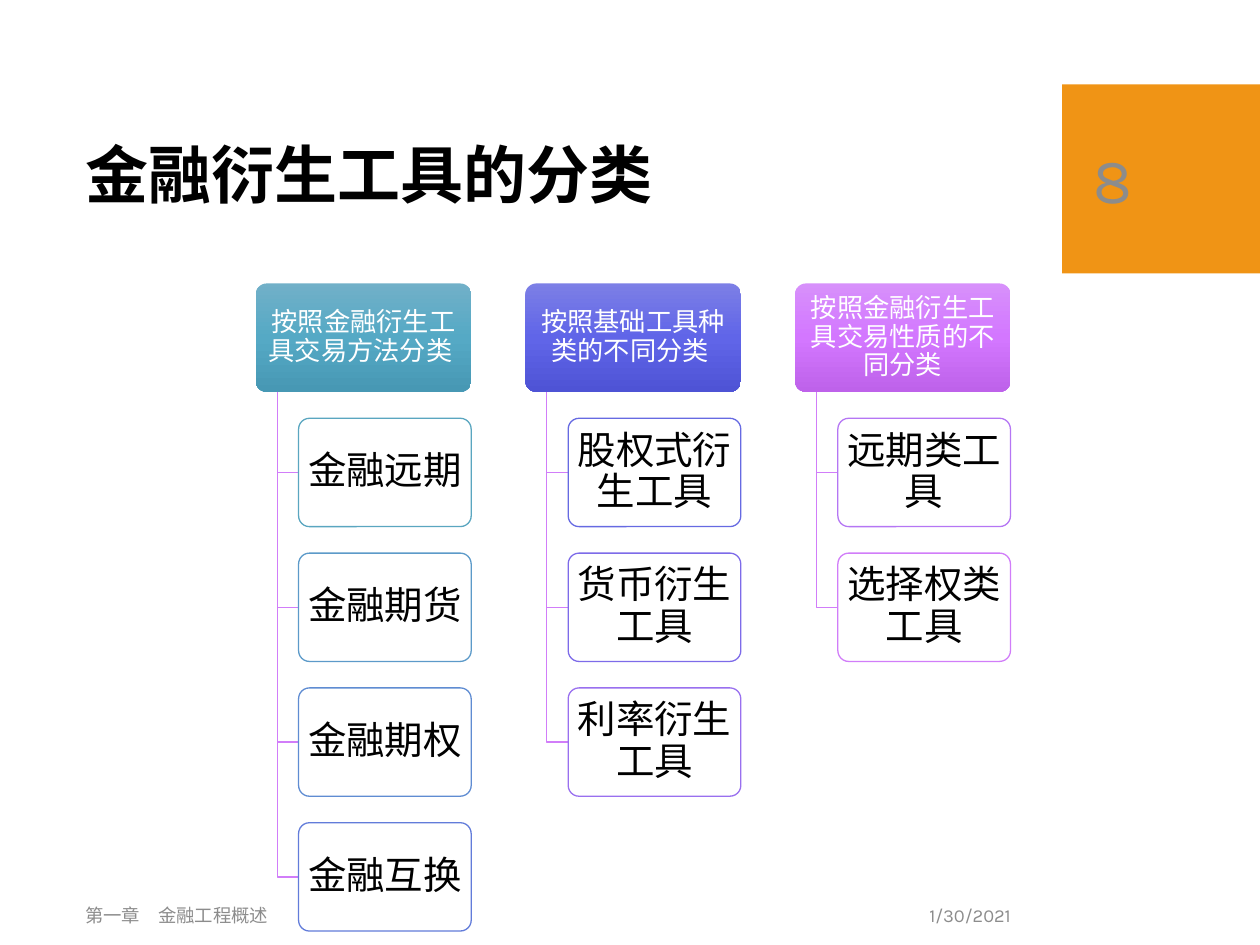
from copy import deepcopy

from lxml import etree
from pptx import Presentation
from pptx.dml.color import RGBColor
from pptx.enum.shapes import MSO_SHAPE
from pptx.enum.text import MSO_ANCHOR, PP_ALIGN
from pptx.oxml.ns import qn
from pptx.util import Inches, Pt

ROUNDED, RECTANGLE = MSO_SHAPE.ROUNDED_RECTANGLE, MSO_SHAPE.RECTANGLE
MIDDLE = MSO_ANCHOR.MIDDLE
LEFT, CENTER, RIGHT = PP_ALIGN.LEFT, PP_ALIGN.CENTER, PP_ALIGN.RIGHT

FONT = "Karla"
GREY = "8C8C8C"
BRANCH_COLOR = "D17DF9"

# Heading, gradient from top to bottom, then each item with its outline
CATEGORIES = [
    ("按照金融衍生工具交易方法分类 ", ("71B0C8", "55A9C5", "4798B4"),
     [("金融远期", "5AA6C0"), ("金融期货", "5C9AC9"),
      ("金融期权", "5F8CD2"), ("金融互换", "627CDA")]),
    ("按照基础工具种类的不同分类 ", ("7C7FE6", "6065E8", "4E53D5"),
     [("股权式衍生工具", "666AE2"), ("货币衍生工具", "7D6BE9"),
      ("利率衍生工具", "9970EF")]),
    ("按照金融衍生工具交易性质的不同分类", ("D790FB", "D377FF", "BE62EA"),
     [("远期类工具", "B576F4"), ("选择权类工具", BRANCH_COLOR)]),
]

TREE_LEFT, TREE_TOP = 2.03, 2.25
COLUMN_PITCH, ROW_PITCH = 2.14, 1.07
HEADING_WIDTH, ITEM_WIDTH, BOX_HEIGHT = 1.71, 1.37, 0.86
BRANCH_INDENT, ITEM_INDENT = 0.17, 0.34


def rgb(color):
    return RGBColor.from_string(color)


def write(shape, text, size, color, align, margins=(0.1, 0.05), spacing=None):
    """Set one vertically centred paragraph; margins are (sides, top and bottom)."""
    frame = shape.text_frame
    frame.text = text
    frame.word_wrap = True
    frame.vertical_anchor = MIDDLE
    frame.margin_left = frame.margin_right = Inches(margins[0])
    frame.margin_top = frame.margin_bottom = Inches(margins[1])
    paragraph = frame.paragraphs[0]
    paragraph.alignment = align
    paragraph.line_spacing = spacing
    font = paragraph.runs[0].font
    font.name, font.size, font.color.rgb = FONT, Pt(size), rgb(color)
    return font


prs = Presentation()
prs.slide_width, prs.slide_height = Inches(10), Inches(7.5)
shapes = prs.slides.add_slide(prs.slide_layouts[6]).shapes

number_block = shapes.add_shape(
    RECTANGLE, Inches(8.43), Inches(0.67), Inches(1.57), Inches(1.5))
number_block.shadow.inherit = False
number_block.fill.solid()
number_block.fill.fore_color.rgb = rgb("F09415")
number_block.line.fill.background()

title = shapes.add_textbox(Inches(0.58), Inches(0.82), Inches(7.54), Inches(1.18))
write(title, "金融衍生工具的分类", 36, "000000", LEFT, spacing=0.9).bold = True

for column, (heading_text, gradient, items) in enumerate(CATEGORIES):
    left = TREE_LEFT + column * COLUMN_PITCH
    heading = shapes.add_shape(ROUNDED, Inches(left), Inches(TREE_TOP),
                               Inches(HEADING_WIDTH), Inches(BOX_HEIGHT))
    heading.adjustments[0] = 0.1
    heading.shadow.inherit = False
    heading.line.fill.background()
    heading.fill.gradient()
    heading.fill.gradient_angle = 270
    stop_list = heading.fill._xPr.find(".//" + qn("a:gsLst"))
    stop_list.append(deepcopy(stop_list[0]))
    for stop, position, color in zip(heading.fill.gradient_stops, (0, 0.5, 1), gradient):
        stop.position = position
        stop.color.rgb = rgb(color)
    write(heading, heading_text, 15, "FFFFFF", CENTER, (0.03, 0.02), 0.9)

    trunk_x = left + BRANCH_INDENT
    item_left = left + ITEM_INDENT
    for row, (item_text, outline) in enumerate(items, start=1):
        item_top = TREE_TOP + row * ROW_PITCH
        item_middle = item_top + BOX_HEIGHT / 2
        builder = shapes.build_freeform(
            Inches(trunk_x), Inches(TREE_TOP + BOX_HEIGHT))
        builder.add_line_segments(
            [(Inches(trunk_x), Inches(item_middle)),
             (Inches(item_left), Inches(item_middle))], close=False)
        branch = builder.convert_to_shape()
        branch.shadow.inherit = False
        branch.fill.background()
        branch.line.color.rgb = rgb(BRANCH_COLOR)
        branch.line.width = Pt(0.75)

        item = shapes.add_shape(ROUNDED, Inches(item_left), Inches(item_top),
                                Inches(ITEM_WIDTH), Inches(BOX_HEIGHT))
        item.adjustments[0] = 0.1
        item.shadow.inherit = False
        item.fill.solid()
        item.fill.fore_color.rgb = rgb("FFFFFF")
        white = item.fill._xPr.find(qn("a:solidFill"))[0]
        etree.SubElement(white, qn("a:alpha"), val="90000")
        item.line.color.rgb = rgb(outline)
        item.line.width = Pt(0.75)
        write(item, item_text, 22, "000000", CENTER, (0.04, 0.03), 0.9)

for text, left, top, width, height, size, align in [
    ("1/30/2021", 5.87, 7.06, 2.25, 0.4, 10.5, RIGHT),
    ("第一章　金融工程概述", 0.58, 7.06, 5.29, 0.4, 10.5, LEFT),
    ("8", 8.58, 0.82, 1.27, 1.19, 36, LEFT),
]:
    label = shapes.add_textbox(Inches(left), Inches(top), Inches(width), Inches(height))
    write(label, text, size, GREY, align)

prs.save("out.pptx")
